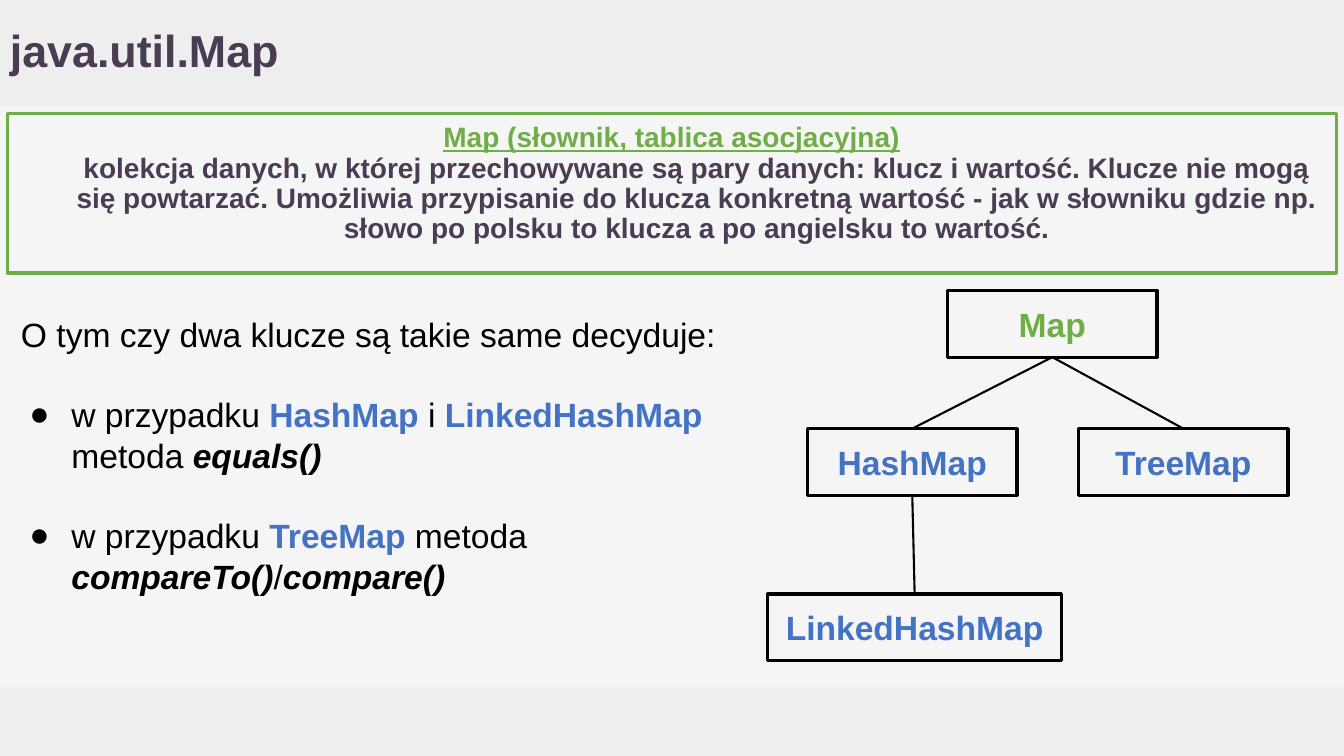
from lxml.etree import SubElement
from pptx import Presentation
from pptx.dml.color import RGBColor
from pptx.enum.shapes import MSO_CONNECTOR, MSO_SHAPE
from pptx.enum.text import MSO_ANCHOR, PP_ALIGN
from pptx.oxml.ns import qn
from pptx.util import Cm, Pt

BACKGROUND = RGBColor(0xF5, 0xF5, 0xF5)
BAND = RGBColor(0xEE, 0xEE, 0xEE)
PURPLE = RGBColor(0x4A, 0x3D, 0x53)
GREEN = RGBColor(0x70, 0xAD, 0x47)
BLUE = RGBColor(0x44, 0x72, 0xC4)
BLACK = RGBColor(0, 0, 0)


def add_text(paragraph, text, size=24, color=BLACK, bold=False, italic=False, underline=False):
    run = paragraph.add_run()
    run.text = text
    run.font.name = "Arial"
    run.font.size = Pt(size)
    run.font.color.rgb = color
    run.font.bold = bold
    run.font.italic = italic
    run.font.underline = underline


def prepare_frame(shape, anchor=MSO_ANCHOR.TOP):
    frame = shape.text_frame
    frame.word_wrap = True
    frame.vertical_anchor = anchor
    frame.margin_left = frame.margin_right = Cm(0.25)
    frame.margin_top = frame.margin_bottom = Cm(0.25)
    return frame


presentation = Presentation()
presentation.slide_width = Cm(33.87)
presentation.slide_height = Cm(19.05)
slide = presentation.slides.add_slide(presentation.slide_layouts[6])
slide.background.fill.solid()
slide.background.fill.fore_color.rgb = BACKGROUND

for top, height in ((17.31, 1.74), (0, 2.67)):
    band = slide.shapes.add_shape(MSO_SHAPE.RECTANGLE, 0, Cm(top), presentation.slide_width, Cm(height))
    band.shadow.inherit = False
    band.fill.solid()
    band.fill.fore_color.rgb = BAND
    band.line.fill.background()

title = slide.shapes.add_textbox(0, 0, Cm(30.28), Cm(2.67))
paragraph = prepare_frame(title, MSO_ANCHOR.MIDDLE).paragraphs[0]
paragraph.line_spacing = 0.9
add_text(paragraph, "java.util.Map", size=32, color=PURPLE, bold=True)

definition = slide.shapes.add_textbox(Cm(0.18), Cm(2.87), Cm(33.5), Cm(4.01))
definition.line.color.rgb = GREEN
definition.line.width = Pt(2.25)
frame = prepare_frame(definition)
heading, explanation = frame.paragraphs[0], frame.add_paragraph()
for paragraph in (heading, explanation):
    paragraph.alignment = PP_ALIGN.CENTER
    paragraph.line_spacing = 0.9
explanation._p.get_or_add_pPr().set("marL", str(Cm(1.27)))
add_text(heading, "Map (słownik, tablica asocjacyjna)", size=20, color=GREEN, bold=True, underline=True)
add_text(
    explanation,
    "kolekcja danych, w której przechowywane są pary danych: klucz i wartość. "
    "Klucze nie mogą się powtarzać. Umożliwia przypisanie do klucza konkretną wartość - "
    "jak w słowniku gdzie np. słowo po polsku to klucza a po angielsku to wartość.",
    size=20, color=PURPLE, bold=True,
)

PLAIN = {}
CLASS_NAME = {"color": BLUE, "bold": True}
METHOD = {"bold": True, "italic": True}
rules = (
    (("w przypadku ", PLAIN), ("HashMap ", CLASS_NAME), ("i ", PLAIN),
     ("LinkedHashMap ", CLASS_NAME), ("metoda ", PLAIN), ("equals()", METHOD)),
    (("w przypadku ", PLAIN), ("TreeMap ", CLASS_NAME), ("metoda ", PLAIN),
     ("compareTo()", METHOD), ("/", PLAIN), ("compare()", METHOD)),
)
key_rules = slide.shapes.add_textbox(Cm(0.28), Cm(7.65), Cm(18.52), Cm(9.37))
frame = prepare_frame(key_rules)
add_text(frame.paragraphs[0], "O tym czy dwa klucze są takie same decyduje:")
for rule in rules:
    paragraph = frame.add_paragraph()
    paragraph.space_before = Pt(28.8)
    properties = paragraph._p.get_or_add_pPr()
    properties.set("marL", str(Cm(1.27)))
    properties.set("indent", str(Cm(-1.06)))
    bullet_color = SubElement(properties, qn("a:buClr"))
    SubElement(bullet_color, qn("a:srgbClr")).set("val", str(BLACK))
    SubElement(properties, qn("a:buFont")).set("typeface", "Arial")
    SubElement(properties, qn("a:buChar")).set("char", "●")
    for text, style in rule:
        add_text(paragraph, text, **style)

boxes = {}
for name, left, top, width, color in (
    ("Map", 23.88, 7.32, 5.28, GREEN),
    ("HashMap", 20.35, 10.8, 5.28, BLUE),
    ("TreeMap", 27.18, 10.8, 5.28, BLUE),
    ("LinkedHashMap", 19.35, 14.97, 7.4, BLUE),
):
    box = slide.shapes.add_shape(MSO_SHAPE.RECTANGLE, Cm(left), Cm(top), Cm(width), Cm(1.68))
    box.shadow.inherit = False
    box.fill.background()
    box.line.color.rgb = BLACK
    box.line.width = Pt(2.25)
    paragraph = prepare_frame(box, MSO_ANCHOR.MIDDLE).paragraphs[0]
    paragraph.alignment = PP_ALIGN.CENTER
    add_text(paragraph, name, color=color, bold=True)
    boxes[name] = box

for parent, child in (("Map", "HashMap"), ("Map", "TreeMap"), ("HashMap", "LinkedHashMap")):
    connector = slide.shapes.add_connector(MSO_CONNECTOR.STRAIGHT, 0, 0, 0, 0)
    connector.begin_connect(boxes[parent], 2)
    connector.end_connect(boxes[child], 0)
    connector.line.color.rgb = BLACK
    connector.line.width = Pt(1.5)
    SubElement(connector._element.spPr, qn("a:effectLst"))

presentation.save("out.pptx")
